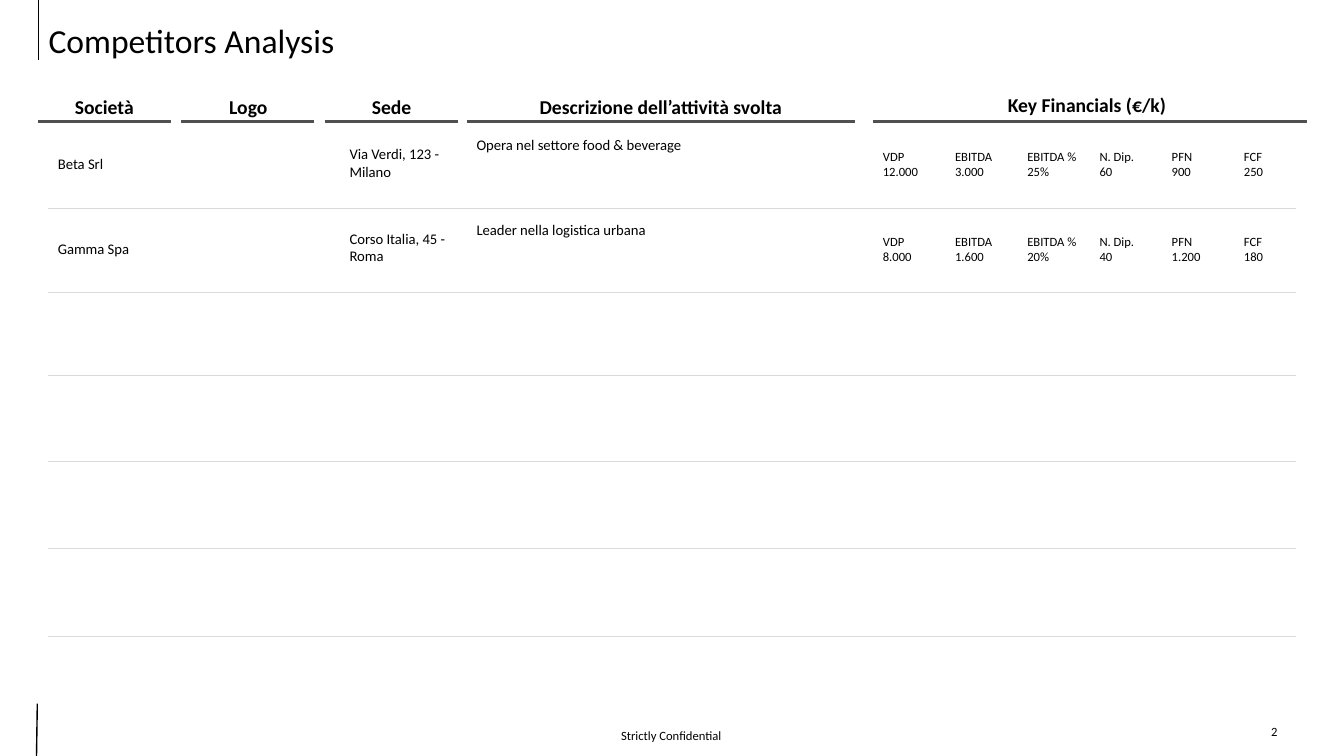
from lxml.etree import SubElement
from pptx import Presentation
from pptx.dml.color import RGBColor
from pptx.enum.shapes import MSO_CONNECTOR
from pptx.enum.text import MSO_ANCHOR, PP_ALIGN
from pptx.oxml.ns import qn
from pptx.util import Cm, Pt

BLACK = RGBColor(0x00, 0x00, 0x00)
DARK_GREY = RGBColor(0x50, 0x50, 0x50)
LIGHT_GREY = RGBColor(0xD9, 0xD9, 0xD9)
FONT = "Calibri"

TITLE = "Competitors Analysis"
FOOTER = "Strictly Confidential"
PAGE_NUMBER = "2"

# Heading, rule left and width, label left, top and width, in cm
HEADINGS = [
    ("Società", 0.97, 3.35, 1.07, 2.26, 3.12),
    ("Logo", 4.57, 3.35, 4.7, 2.26, 3.12),
    ("Sede", 8.18, 3.35, 8.31, 2.26, 3.12),
    ("Descrizione dell’attività svolta", 11.76, 9.78, 13.11, 2.26, 7.09),
    ("Key Financials (€/k)", 22, 10.94, 24.36, 2.21, 6.07),
]
METRICS = ["VDP", "EBITDA", "EBITDA %", "N. Dip.", "PFN", "FCF"]
COMPETITORS = [
    ("Beta Srl", "Via Verdi, 123 - Milano", "Opera nel settore food & beverage",
     ["12.000", "3.000", "25%", "60", "900", "250"]),
    ("Gamma Spa", "Corso Italia, 45 - Roma", "Leader nella logistica urbana",
     ["8.000", "1.600", "20%", "40", "1.200", "180"]),
]

RULE_Y = 3.07
SEPARATORS_Y = [5.26, 7.37, 9.47, 11.63, 13.82, 16.03]
ROW_TOP, ROW_PITCH = 3.3, 2.13
METRIC_LEFT, METRIC_PITCH, METRIC_WIDTH = 22, 1.82, 1.85


def format_text(tf, size, bold=False, align=PP_ALIGN.LEFT):
    for p in tf.paragraphs:
        p.alignment = align
        for r in p.runs:
            r.font.name = FONT
            r.font.size = Pt(size)
            r.font.bold = bold
            r.font.color.rgb = BLACK


def add_text(slide, text, left, top, width, height, size, **style):
    tf = slide.shapes.add_textbox(Cm(left), Cm(top), Cm(width), Cm(height)).text_frame
    tf.word_wrap = True
    tf.text = text
    format_text(tf, size, **style)
    return tf


def add_line(slide, x1, y1, x2, y2, color, weight):
    line = slide.shapes.add_connector(
        MSO_CONNECTOR.STRAIGHT, Cm(x1), Cm(y1), Cm(x2), Cm(y2))
    line.line.color.rgb = color
    line.line.width = Pt(weight)
    SubElement(line._element.spPr, qn("a:effectLst"))


def add_frame(slide):
    """Title, margin lines, footer and page number."""
    title = slide.shapes.title
    title.left, title.top, title.width, title.height = Cm(0.97), Cm(0.56), Cm(29.59), Cm(1.02)
    tf = title.text_frame
    tf.text = TITLE
    tf.vertical_anchor = MSO_ANCHOR.MIDDLE
    tf.paragraphs[0].line_spacing = 0.9
    format_text(tf, 24)

    add_line(slide, 0.97, 0, 0.97, 1.52, BLACK, 1)
    add_line(slide, 0.94, 17.73, 0.92, 19.05, BLACK, 1)
    footer = add_text(slide, FOOTER, 12.04, 18.03, 9.75, 1.02, 9, align=PP_ALIGN.CENTER)
    footer.vertical_anchor = MSO_ANCHOR.MIDDLE
    add_text(slide, PAGE_NUMBER, 31.29, 18.11, 1.65, 1.02, 9, align=PP_ALIGN.CENTER)


def add_grid(slide):
    for text, rule_left, rule_width, left, top, width in HEADINGS:
        add_line(slide, rule_left, RULE_Y, rule_left + rule_width, RULE_Y, DARK_GREY, 2.25)
        add_text(slide, text, left, top, width, 0.84, 14, bold=True, align=PP_ALIGN.CENTER)
    for y in SEPARATORS_Y:
        add_line(slide, 1.21, y, 32.66, y, LIGHT_GREY, 0.75)


def add_competitors(slide):
    for row, (name, address, activity, values) in enumerate(COMPETITORS):
        top = ROW_TOP + row * ROW_PITCH
        add_text(slide, name, 1.21, top + 0.48, 3, 0.71, 10.5)
        add_text(slide, address, 8.56, top + 0.23, 3, 1.14, 10.5)
        add_text(slide, activity, 11.76, top, 9.8, 0.71, 10.5)
        for col, (metric, value) in enumerate(zip(METRICS, values)):
            add_text(slide, f"{metric}\n{value}", METRIC_LEFT + col * METRIC_PITCH,
                     top + 0.33, METRIC_WIDTH, 1.02, 9)


def main():
    prs = Presentation()
    prs.slide_width, prs.slide_height = Cm(33.87), Cm(19.05)
    slide = prs.slides.add_slide(prs.slide_layouts[5])
    add_frame(slide)
    add_grid(slide)
    add_competitors(slide)
    prs.save("out.pptx")


if __name__ == "__main__":
    main()
